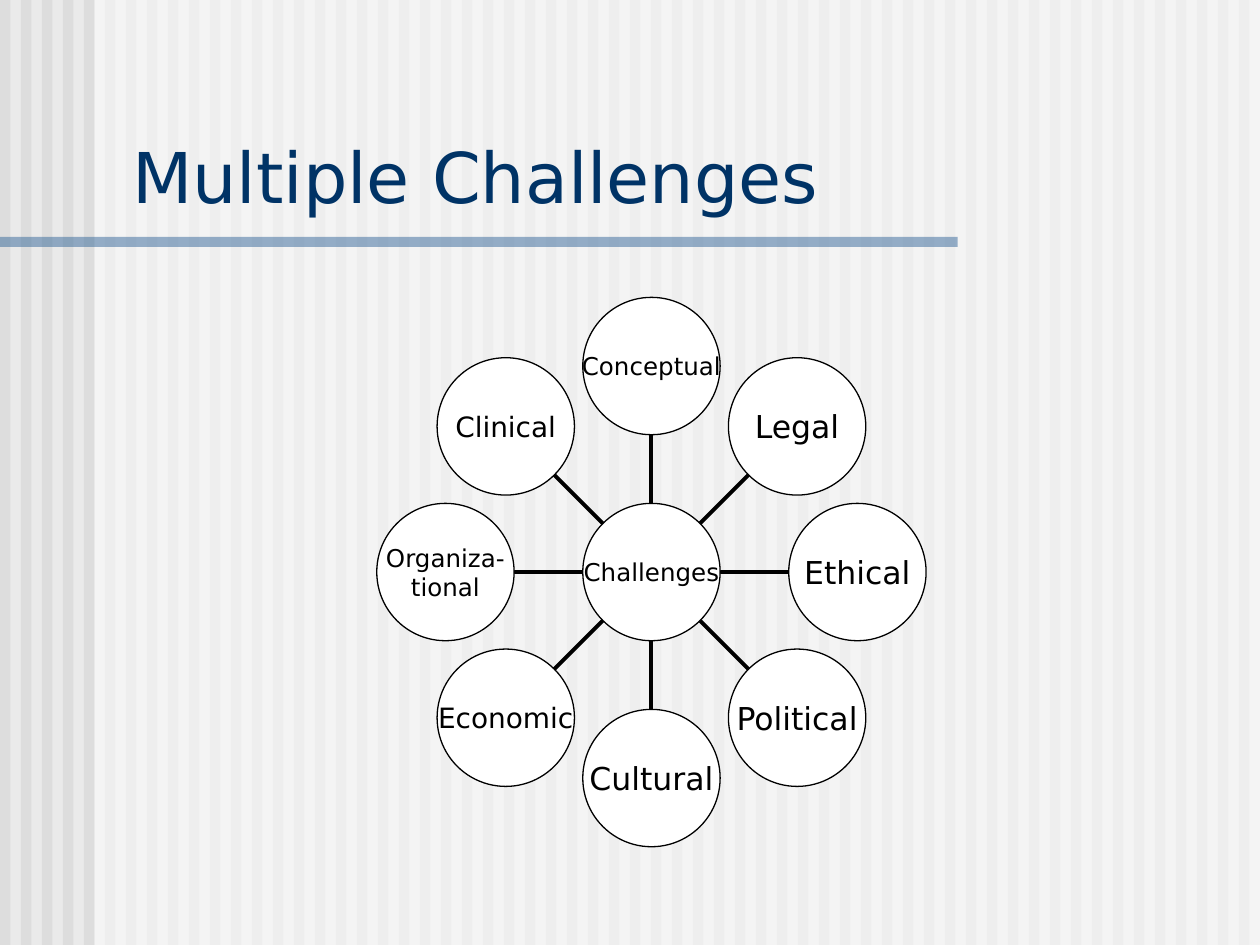
import math
from dataclasses import dataclass

import lxml.etree
import pptx
import pptx.dml.color
import pptx.enum.shapes
import pptx.enum.text
import pptx.oxml.ns
import pptx.util

Inches = pptx.util.Inches
Pt = pptx.util.Pt
Shape = pptx.enum.shapes.MSO_SHAPE
Anchor = pptx.enum.text.MSO_ANCHOR
Align = pptx.enum.text.PP_ALIGN


@dataclass(frozen=True)
class Theme:
    font: str = "DejaVu Sans"
    background: str = "EAEAEA"
    stripe: str = "DDDDDD"
    white: str = "FFFFFF"
    rule: str = "336699"
    title: str = "003366"
    ink: str = "000000"
    title_size: int = 40
    large: int = 18
    medium: int = 16
    small: int = 14
    outline: float = 0.75
    spoke: float = 2.25


THEME = Theme()
HUB = ("Challenges", THEME.small)
SATELLITES = [
    ("Conceptual", THEME.small),
    ("Legal", THEME.large),
    ("Ethical", THEME.large),
    ("Political", THEME.large),
    ("Cultural", THEME.large),
    ("Economic", THEME.medium),
    ("Organiza-\ntional", THEME.small),
    ("Clinical", THEME.medium),
]


def color(value):
    return pptx.dml.color.RGBColor.from_string(value)


def add_child(parent, tag, **attributes):
    return lxml.etree.SubElement(parent, pptx.oxml.ns.qn(tag), attributes)


def add_block(shapes, box, fill, opacity=100):
    block = shapes.add_shape(Shape.RECTANGLE, *map(Inches, box))
    block.shadow.inherit = False
    block.fill.solid()
    block.fill.fore_color.rgb = color(fill)
    block.line.fill.background()
    if opacity < 100:
        rgb = block.element.spPr.find(".//" + pptx.oxml.ns.qn("a:srgbClr"))
        add_child(rgb, "a:alpha", val=str(opacity * 1000))


def add_backdrop(slide, box):
    left, top, width, height = box
    slide.background.fill.solid()
    slide.background.fill.fore_color.rgb = color(THEME.background)
    backdrop = slide.shapes.add_group_shape()
    count = 60
    pitch = width / count
    for index in range(count):
        stripe = (left + index * pitch, top, pitch / 2, height)
        add_block(backdrop.shapes, stripe, THEME.stripe)
    margin = 0.75
    veil = (left + margin, top, width - margin, height)
    add_block(backdrop.shapes, veil, THEME.white, 50)
    add_block(backdrop.shapes, (left, 1.88, 7.6, 0.08), THEME.rule, 50)


def add_title(slide, box, text):
    title = slide.shapes.title
    title.element.getparent().append(title.element)
    title.left, title.top, title.width, title.height = map(Inches, box)
    frame = title.text_frame
    frame.text = text
    frame.word_wrap = True
    frame.auto_size = pptx.enum.text.MSO_AUTO_SIZE.NONE
    frame.vertical_anchor = Anchor.BOTTOM
    paragraph = frame.paragraphs[0]
    paragraph.alignment = Align.LEFT
    set_font(paragraph, THEME.title_size, THEME.title)


def set_font(paragraph, size, ink):
    paragraph.font.name = THEME.font
    paragraph.font.size = Pt(size)
    paragraph.font.color.rgb = color(ink)


def add_circle(shapes, center, diameter, label, size):
    left, top = (value - diameter / 2 for value in center)
    circle = shapes.add_shape(
        Shape.OVAL, *map(Inches, (left, top, diameter, diameter))
    )
    circle.shadow.inherit = False
    circle.fill.solid()
    circle.fill.fore_color.rgb = color(THEME.white)
    circle.line.color.rgb = color(THEME.ink)
    circle.line.width = Pt(THEME.outline)
    frame = circle.text_frame
    frame.text = label
    frame.word_wrap = False
    frame.vertical_anchor = Anchor.MIDDLE
    for paragraph in frame.paragraphs:
        paragraph.alignment = Align.CENTER
        set_font(paragraph, size, THEME.ink)


def add_spoke(shapes, start, end):
    spoke = shapes.add_connector(
        pptx.enum.shapes.MSO_CONNECTOR.STRAIGHT, *map(Inches, start + end)
    )
    spoke.line.color.rgb = color(THEME.ink)
    spoke.line.width = Pt(THEME.spoke)
    add_child(spoke.element.spPr, "a:effectLst")


def add_radial_diagram(slide, box, hub, satellites):
    left, top, width, height = box
    center = (left + width / 2, top + height / 2)
    diameter = width / 4
    shapes = slide.shapes.add_group_shape().shapes

    def point(angle, distance):
        return (
            center[0] + distance * math.sin(angle),
            center[1] - distance * math.cos(angle),
        )

    for index, (label, size) in enumerate(satellites):
        angle = math.tau * index / len(satellites)
        add_spoke(shapes, point(angle, diameter / 2), point(angle, diameter))
        add_circle(shapes, point(angle, diameter * 1.5), diameter, label, size)
    add_circle(shapes, center, diameter, *hub)


def main():
    presentation = pptx.Presentation()
    presentation.slide_width = Inches(10)
    presentation.slide_height = Inches(7.5)
    slide = presentation.slides.add_slide(presentation.slide_layouts[5])
    add_backdrop(slide, (0, 0, 10, 7.5))
    add_title(slide, (0.95, 1.01, 8.93, 0.77), "Multiple Challenges")
    add_radial_diagram(slide, (2.99, 2.36, 4.36, 4.36), HUB, SATELLITES)
    presentation.save("out.pptx")


if __name__ == "__main__":
    main()
